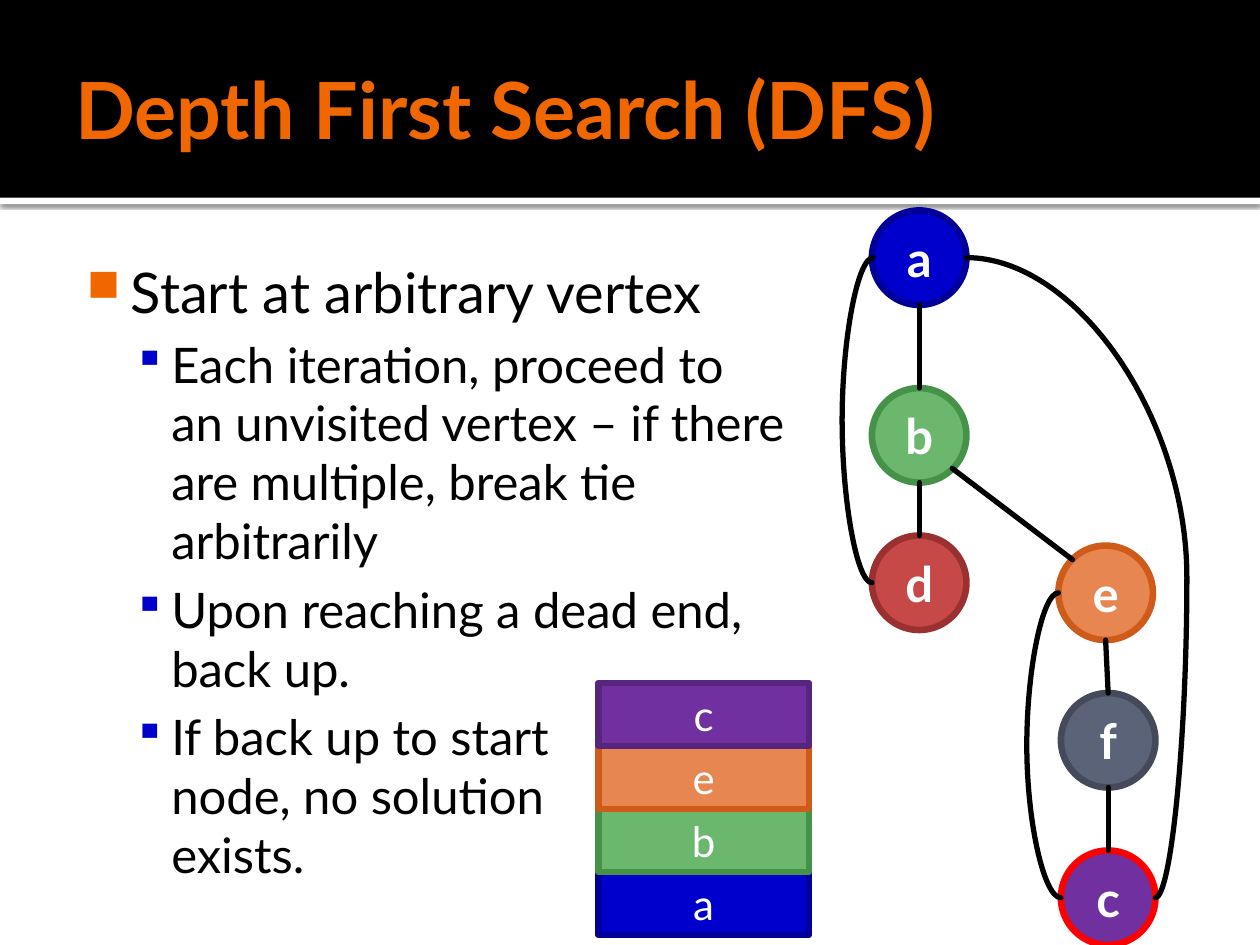
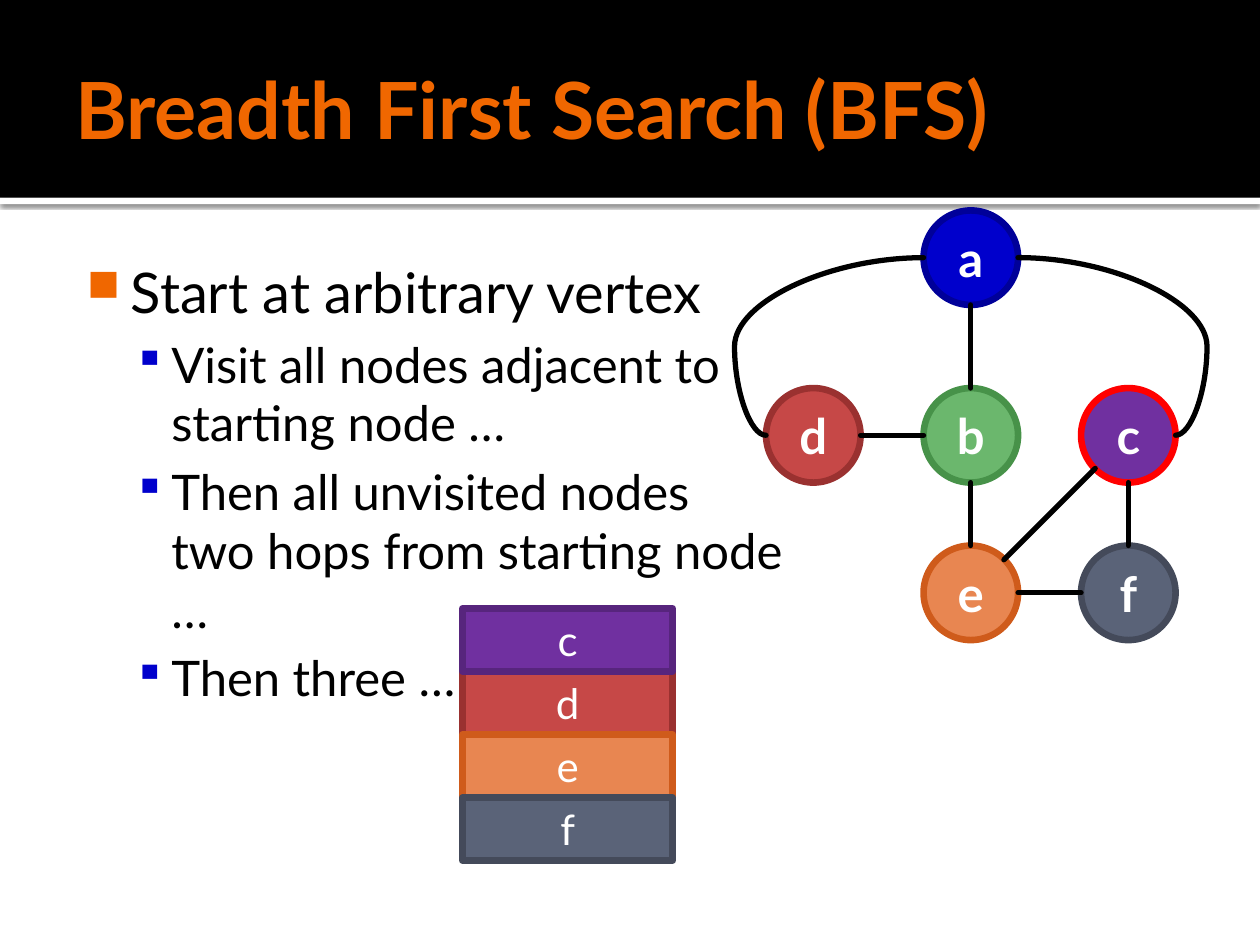
"""Build two slides that compare depth first and breadth first search."""
from lxml import etree
from pptx import Presentation, util as u
from pptx.dml import color
from pptx.enum import shapes, text
from pptx.oxml import ns

COLORS = {
    "band": "000000", "strip": "FFFFFF", "title": "F06700", "body": "000000",
    "edge": "000000", "label": "FFFFFF", "point": "F06700", "subpoint": "0000CC",
}
VERTEX_FILL = {"a": "0000CC", "b": "6BB76D", "c": "7030A0",
               "d": "C64847", "e": "E88651", "f": "5A6378"}
VERTEX_LINE = {"a": "000099", "b": "479249", "c": "57257D",
               "d": "9A3130", "e": "CF5B1B", "f": "444A5A"}
GOAL = {"c": "FF0000"}
FONT = "Lato"
NODE_SIZE = 0.75
BOX_WIDTH, BOX_HEIGHT = 1.67, 0.5
OUTLINE, EDGE = 3.78, 3
COLUMNS = [6.08 + 1.25 * step for step in range(3)]
ROWS = [1.67, 3.08, 4.33]

SIDES = {"top": (0.5, 0), "left": (0, 0.5), "bottom": (0.5, 1), "right": (1, 0.5),
         "top left": (0.15, 0.15), "top right": (0.85, 0.15),
         "bottom left": (0.15, 0.85), "bottom right": (0.85, 0.85)}
LEVELS = [
    {"size": 32, "margin": 0.48, "indent": -0.35, "before": 0,
     "bullet": "■", "scale": 80, "color": "point"},
    {"size": 28, "margin": 0.8, "indent": -0.3, "before": 5.6,
     "bullet": "▪", "scale": 90, "color": "subpoint"},
]

SLIDES = [
    {
        "title": "Depth First Search (DFS)",
        "points": [
            (0, "Start at arbitrary vertex"),
            (1, "Each iteration, proceed to an unvisited vertex – if there are "
                "multiple, break tie arbitrarily"),
            (1, "Upon reaching a dead end, back up."),
            (1, "If back up to start \nnode, no solution \nexists."),
        ],
        "nodes": {"a": (6.92, 1.67), "b": (6.92, 3.08), "d": (6.92, 4.25),
                  "e": (8.4, 4.33), "c": (8.42, 6.75), "f": (8.42, 5.5)},
        "edges": [("a", "bottom", "b", "top"), ("d", "top", "b", "bottom"),
                  ("e", "top left", "b", "bottom right"),
                  ("f", "bottom", "c", "top"), ("e", "bottom", "f", "top")],
        "curves": [("c", "right", "a", "right", 9.42),
                   ("e", "left", "c", "left", 8.15),
                   ("a", "left", "d", "left", 6.68)],
        "stack": {"at": (4.75, 5.42), "rows": "ceba", "order": "abec"},
    },
    {
        "title": "Breadth First Search (BFS)",
        "points": [
            (0, "Start at arbitrary vertex"),
            (1, "Visit all nodes adjacent to starting node …"),
            (1, "Then all unvisited nodes two hops from starting node …"),
            (1, "Then three …"),
        ],
        "nodes": {"a": (COLUMNS[1], ROWS[0]), "b": (COLUMNS[1], ROWS[1]),
                  "d": (COLUMNS[0], ROWS[1]), "c": (COLUMNS[2], ROWS[1]),
                  "e": (COLUMNS[1], ROWS[2]), "f": (COLUMNS[2], ROWS[2])},
        "edges": [("a", "bottom", "b", "top"), ("d", "right", "b", "left"),
                  ("e", "top", "b", "bottom"), ("f", "left", "e", "right"),
                  ("c", "bottom", "f", "top"),
                  ("c", "bottom left", "e", "top right")],
        "curves": [("c", "right", "a", "right", 9.58),
                   ("a", "left", "d", "left", 5.83)],
        "stack": {"at": (3.67, 4.83), "rows": "cdef", "order": "dcef"},
    },
]


def rgb(value):
    return color.RGBColor.from_string(value)


def inches(*values):
    return [u.Inches(value) for value in values]


def child(parent, tag, **attributes):
    element = etree.SubElement(parent, ns.qn(tag))
    for name, value in attributes.items():
        element.set(name, str(value))
    return element


def style_text(para, size, tone, bold=False):
    values = {"name": FONT, "size": u.Pt(size), "bold": bold}
    for span in para.runs:
        for name, value in values.items():
            setattr(span.font, name, value)
        span.font.color.rgb = rgb(tone)


def set_frame(frame, insets, anchor):
    values = dict(zip(("margin_left", "margin_top", "margin_right", "margin_bottom"),
                      inches(*insets)))
    values.update(word_wrap=True, vertical_anchor=anchor)
    for name, value in values.items():
        setattr(frame, name, value)


def add_block(page, kind, at, fill, line=None):
    block = page.shapes.add_shape(kind, *inches(*at))
    block.shadow.inherit = False
    block.fill.solid()
    block.fill.fore_color.rgb = rgb(fill)
    if line:
        block.line.color.rgb = rgb(line)
        block.line.width = u.Pt(OUTLINE)
    else:
        block.line.fill.background()
    return block


def add_vertex(page, kind, at, name, line, size, bold=False):
    block = add_block(page, kind, at, VERTEX_FILL[name], line)
    set_frame(block.text_frame, (0.1, 0.05, 0.1, 0.05), text.MSO_ANCHOR.MIDDLE)
    para = block.text_frame.paragraphs[0]
    para.text = name
    para.alignment = text.PP_ALIGN.CENTER
    style_text(para, size, COLORS["label"], bold)


def add_header(page, title):
    rectangle = shapes.MSO_SHAPE.RECTANGLE
    strip = add_block(page, rectangle, (0, 1.57, 10, 0.05), COLORS["strip"])
    effects = strip.element.spPr.find(ns.qn("a:effectLst"))
    shadow = child(effects, "a:outerShdw", blurRad=u.Pt(2.5), dist=u.Pt(0.8),
                   dir=90 * 60000, algn="tl", rotWithShape=0)
    child(child(shadow, "a:srgbClr", val="000000"), "a:alpha", val=60000)
    add_block(page, rectangle, (0, 0, 10, 1.57), COLORS["band"])
    box = page.shapes.add_textbox(*inches(0.5, 0.17, 9, 1.37))
    set_frame(box.text_frame, (0.1, 0.05, 0.05, 0.05), text.MSO_ANCHOR.MIDDLE)
    para = box.text_frame.paragraphs[0]
    para.text = title
    style_text(para, 45, COLORS["title"], bold=True)


def add_points(page, points):
    box = page.shapes.add_textbox(*inches(0.5, 1.94, 5.83, 5.06))
    frame = box.text_frame
    set_frame(frame, (0.06, 0.1, 0.1, 0.05), text.MSO_ANCHOR.TOP)
    for index, (level, words) in enumerate(points):
        para = frame.add_paragraph() if index else frame.paragraphs[0]
        look = LEVELS[level]
        para.text = words
        para.level = level
        para.space_before = u.Pt(look["before"])
        style_text(para, look["size"], COLORS["body"])
        properties = para._p.get_or_add_pPr()
        properties.set("marL", str(u.Inches(look["margin"])))
        properties.set("indent", str(u.Inches(look["indent"])))
        tone = child(properties, "a:buClr")
        child(tone, "a:srgbClr", val=COLORS[look["color"]])
        child(properties, "a:buSzPct", val=look["scale"] * 1000)
        child(properties, "a:buChar", char=look["bullet"])


def anchor_point(nodes, name, side):
    return [corner + NODE_SIZE * share
            for corner, share in zip(nodes[name], SIDES[side])]


def add_edge(page, nodes, start, start_side, end, end_side, bend=None):
    first = anchor_point(nodes, start, start_side)
    last = anchor_point(nodes, end, end_side)
    kind = shapes.MSO_CONNECTOR.STRAIGHT
    if bend:
        kind = shapes.MSO_CONNECTOR.CURVE
        if first[0] == last[0]:
            first[0] += 0.01
    edge = page.shapes.add_connector(kind, *inches(*first, *last))
    edge.line.color.rgb = rgb(COLORS["edge"])
    edge.line.width = u.Pt(EDGE)
    properties = edge.element.spPr
    properties.find(ns.qn("a:ln")).set("cap", "rnd")
    child(properties, "a:effectLst")
    if bend:
        ratio = (bend - first[0]) / (last[0] - first[0])
        guides = properties.find(ns.qn("a:prstGeom")).get_or_add_avLst()
        child(guides, "a:gd", name="adj1", fmla=f"val {round(ratio * 100000)}")


def add_stack(page, stack):
    left, top = stack["at"]
    for name in stack["order"]:
        row = stack["rows"].index(name)
        at = (left, top + row * BOX_HEIGHT, BOX_WIDTH, BOX_HEIGHT)
        add_vertex(page, shapes.MSO_SHAPE.RECTANGLE, at, name, VERTEX_LINE[name], 24)


def add_graph(page, content):
    nodes = content["nodes"]
    for name, corner in nodes.items():
        at = (*corner, NODE_SIZE, NODE_SIZE)
        line = GOAL.get(name, VERTEX_LINE[name])
        add_vertex(page, shapes.MSO_SHAPE.OVAL, at, name, line, 28, bold=True)
    for edge in content["edges"] + content["curves"]:
        add_edge(page, nodes, *edge)


def main():
    deck = Presentation()
    deck.slide_width, deck.slide_height = inches(10, 7.5)
    for content in SLIDES:
        page = deck.slides.add_slide(deck.slide_layouts[6])
        add_header(page, content["title"])
        add_points(page, content["points"])
        add_graph(page, content)
        add_stack(page, content["stack"])
    deck.save("out.pptx")


if __name__ == "__main__":
    main()
